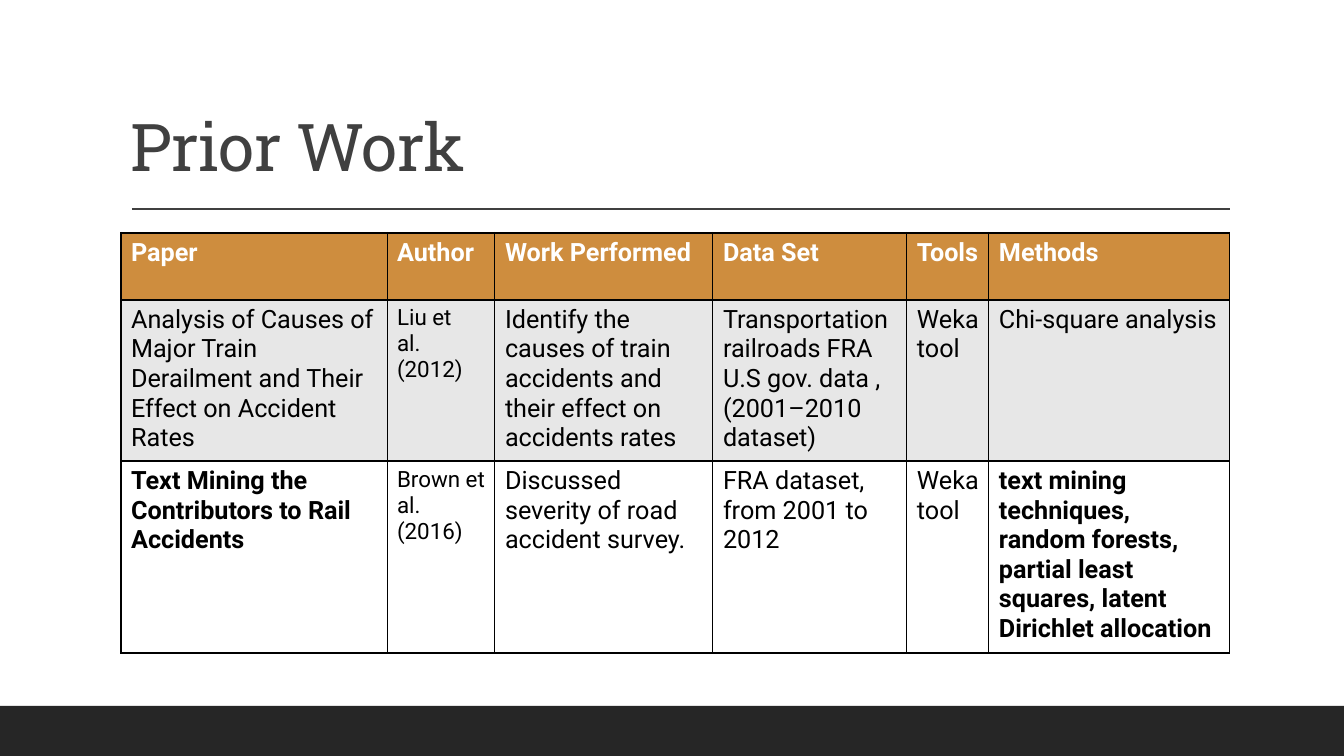
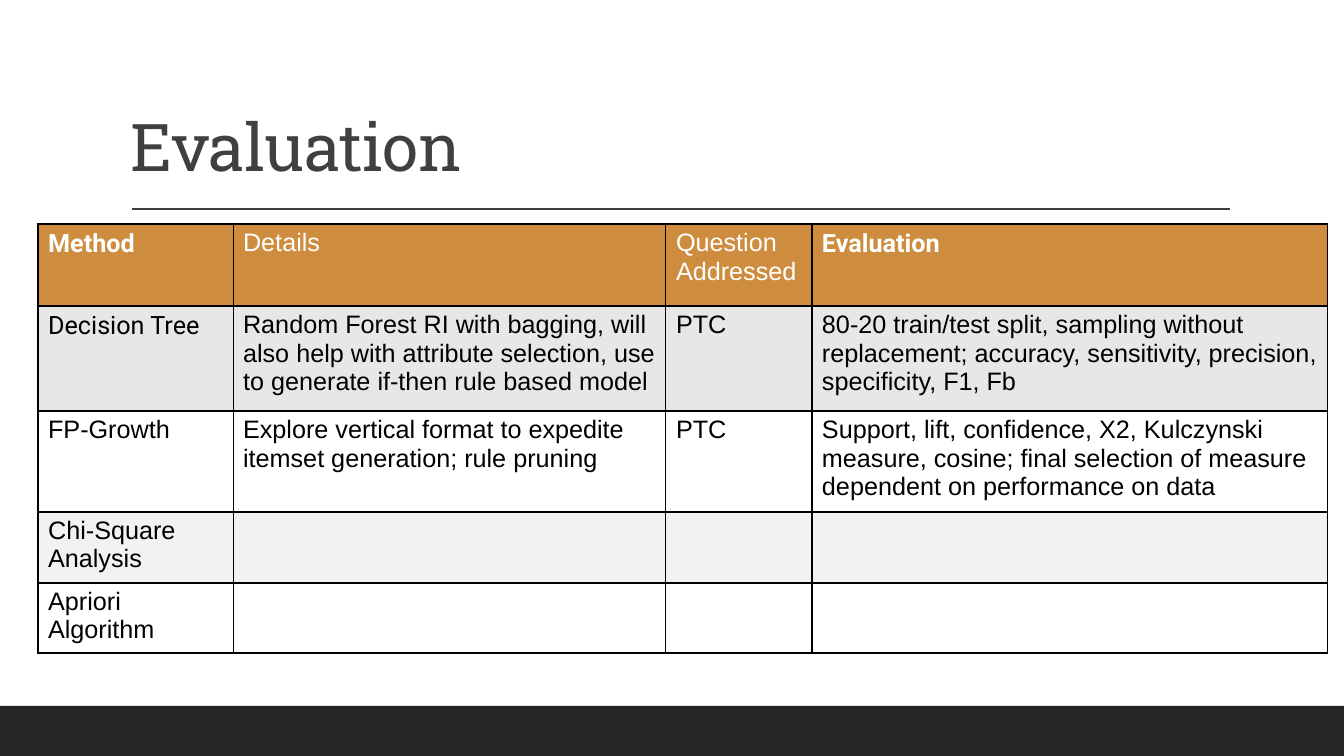
from dataclasses import dataclass

import pptx
import pptx.dml.color
import pptx.enum.shapes
import pptx.enum.text
import pptx.oxml
import pptx.oxml.ns
import pptx.util

EMU_PER_PX = 914400 / 100.8
PAGE_WIDTH, PAGE_HEIGHT = 1344, 756
BAND_TOP = 706

CHARCOAL = "262626"
GREY = "404040"
ORANGE = "CE8D3E"
SILVER = "E7E7E7"
PALE = "F2F2F2"
WHITE = "FFFFFF"
BLACK = "000000"

TITLE_FONT = "Roboto Slab"
ROBOTO = "Roboto"
ARIAL = "Arial"


@dataclass(frozen=True)
class Entry:
    """Text of one table cell; a line break starts a new paragraph."""
    text: str
    font: str = ROBOTO
    bold: bool = False
    size: int = 18


@dataclass(frozen=True)
class Row:
    height: int
    fill: str
    entries: list[Entry]
    color: str = BLACK


@dataclass(frozen=True)
class Grid:
    """A table; rules are line widths in points, one more than columns or rows."""
    left: int
    top: int
    columns: list[int]
    rows: list[Row]
    vertical_rules: list[float]
    horizontal_rules: list[float]


def strong(text: str) -> Entry:
    return Entry(text, bold=True)


def small(text: str) -> Entry:
    return Entry(text, size=16)


def arial(text: str) -> Entry:
    return Entry(text, font=ARIAL)


def px(length: int) -> pptx.util.Emu:
    return pptx.util.Emu(round(length * EMU_PER_PX))


def rgb(color: str) -> pptx.dml.color.RGBColor:
    return pptx.dml.color.RGBColor.from_string(color)


PRIOR_WORK = Grid(
    left=121,
    top=233,
    columns=[266, 108, 218, 194, 82, 241],
    rows=[
        Row(67, ORANGE, [
            strong("Paper"), strong("Author"), strong("Work Performed"),
            strong("Data Set"), strong("Tools"), strong("Methods"),
        ], WHITE),
        Row(158, SILVER, [
            Entry("Analysis of Causes of\nMajor Train Derailment and Their "
                  "Effect on Accident Rates"),
            small("Liu et\nal. (2012)"),
            Entry("Identify the causes of train accidents and their effect on\n"
                  "accidents rates"),
            Entry("Transportation\nrailroads FRA U.S gov. data , "
                  "(2001–2010 dataset)"),
            Entry("Weka\ntool"),
            Entry("Chi-square analysis"),
        ]),
        Row(188, WHITE, [
            strong("Text Mining the Contributors to Rail\nAccidents"),
            small("Brown et al. (2016)"),
            Entry("Discussed severity of road accident survey."),
            Entry("FRA dataset, from 2001 to 2012"),
            Entry("Weka tool"),
            strong("text mining techniques, random forests, partial least "
                   "squares, latent Dirichlet allocation"),
        ]),
    ],
    vertical_rules=[1.5, 0.75, 0.75, 0.75, 0.75, 0.75, 1],
    horizontal_rules=[2, 2, 1.5, 1.5],
)

EVALUATION = Grid(
    left=38,
    top=224,
    columns=[195, 433, 146, 516],
    rows=[
        Row(82, ORANGE, [
            strong("Method"), arial("Details"), arial("Question Addressed"),
            strong("Evaluation"),
        ], WHITE),
        Row(105, SILVER, [
            Entry("Decision Tree"),
            arial("Random Forest RI with bagging, will also help with attribute "
                  "selection, use to generate if-then rule based model"),
            arial("PTC"),
            arial("80-20 train/test split, sampling without replacement; "
                  "accuracy, sensitivity, precision, specificity, F1, Fb"),
        ]),
        Row(100, WHITE, [
            arial("FP-Growth"),
            arial("Explore vertical format to expedite itemset generation; "
                  "rule pruning"),
            arial("PTC"),
            arial("Support, lift, confidence, Χ2, Kulczynski measure, cosine; "
                  "final selection of measure dependent on performance on data"),
        ]),
        Row(71, PALE, [arial("Chi-Square Analysis")] + [arial("")] * 3),
        Row(67, WHITE, [arial("Apriori Algorithm")] + [arial("")] * 3),
    ],
    vertical_rules=[1.5, 0.75, 0.75, 1.5, 1],
    horizontal_rules=[1.5, 2, 1.5, 2, 1.5, 1.5],
)

PAGES = {"Prior Work": PRIOR_WORK, "Evaluation": EVALUATION}


def draw_frame(page) -> None:
    """Draw the bottom band and the line under the title."""
    band = page.shapes.add_shape(
        pptx.enum.shapes.MSO_SHAPE.RECTANGLE,
        px(0), px(BAND_TOP), px(PAGE_WIDTH), px(PAGE_HEIGHT - BAND_TOP))
    band.shadow.inherit = False
    band.fill.solid()
    band.fill.fore_color.rgb = rgb(CHARCOAL)
    band.line.fill.background()

    line = page.shapes.add_connector(
        pptx.enum.shapes.MSO_CONNECTOR.STRAIGHT,
        px(132), px(209), px(1230), px(209))
    line.line.color.rgb = rgb(GREY)
    line.line.width = pptx.util.Pt(1)
    properties = line._element.spPr
    properties.append(pptx.oxml.parse_xml(
        f"<a:effectLst {pptx.oxml.ns.nsdecls('a')}/>"))


def draw_title(page, text: str) -> None:
    box = page.shapes.add_textbox(px(121), px(31), px(1109), px(160))
    frame = box.text_frame
    frame.word_wrap = True
    frame.vertical_anchor = pptx.enum.text.MSO_ANCHOR.BOTTOM
    para = frame.paragraphs[0]
    para.line_spacing = 0.9
    span = para.add_run()
    span.text = text
    span.font.name = TITLE_FONT
    span.font.size = pptx.util.Pt(47)
    span.font.color.rgb = rgb(GREY)
    span.font._element.set("spc", "-50")


def add_border(cell, side: str, width: float) -> None:
    """Add one side; call in the order L, R, T, B and before the fill."""
    cell._tc.get_or_add_tcPr().append(pptx.oxml.parse_xml(
        f"<a:ln{side} {pptx.oxml.ns.nsdecls('a')} w='{int(pptx.util.Pt(width))}'>"
        f"<a:solidFill><a:srgbClr val='{BLACK}'/></a:solidFill></a:ln{side}>"))


def fill_cell(cell, entry: Entry, row: Row) -> None:
    cell.fill.solid()
    cell.fill.fore_color.rgb = rgb(row.fill)
    cell.text = entry.text
    for para in cell.text_frame.paragraphs:
        para.font.name = entry.font
        para.font.size = pptx.util.Pt(entry.size)
        para.font.bold = entry.bold
        para.font.color.rgb = rgb(row.color)


def draw_grid(page, grid: Grid) -> None:
    table = page.shapes.add_table(
        len(grid.rows), len(grid.columns), px(grid.left), px(grid.top),
        px(sum(grid.columns)), px(sum(row.height for row in grid.rows))).table
    table.first_row = False
    table.horz_banding = False
    for column, width in zip(table.columns, grid.columns):
        column.width = px(width)
    for r, row in enumerate(grid.rows):
        table.rows[r].height = px(row.height)
        for c, entry in enumerate(row.entries):
            cell = table.cell(r, c)
            add_border(cell, "L", grid.vertical_rules[c])
            add_border(cell, "R", grid.vertical_rules[c + 1])
            add_border(cell, "T", grid.horizontal_rules[r])
            add_border(cell, "B", grid.horizontal_rules[r + 1])
            fill_cell(cell, entry, row)


def main() -> None:
    deck = pptx.Presentation()
    deck.slide_width = px(PAGE_WIDTH)
    deck.slide_height = px(PAGE_HEIGHT)
    for title, grid in PAGES.items():
        page = deck.slides.add_slide(deck.slide_layouts[6])
        draw_frame(page)
        draw_title(page, title)
        draw_grid(page, grid)
    deck.save("out.pptx")


if __name__ == "__main__":
    main()
